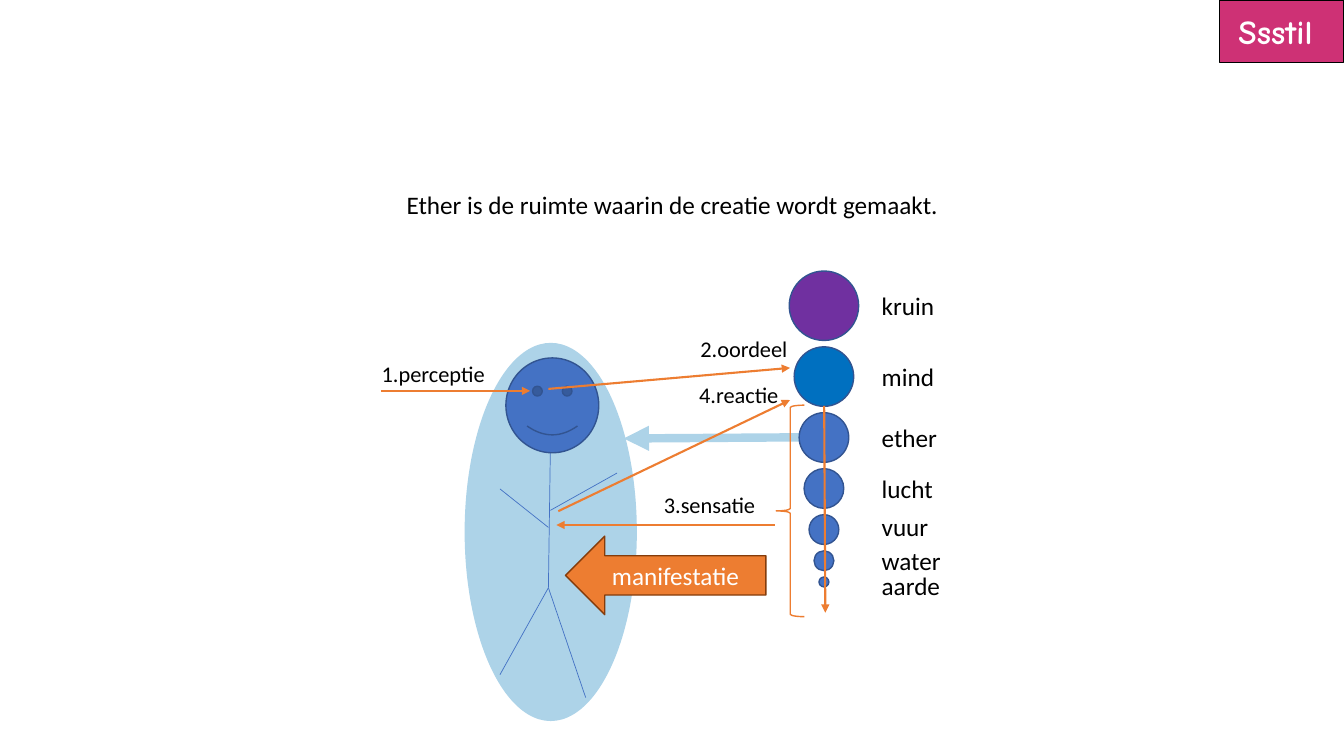
from collections import namedtuple
from dataclasses import dataclass

from lxml import etree
from pptx import Presentation
from pptx.dml.color import RGBColor
from pptx.enum.shapes import MSO_CONNECTOR, MSO_SHAPE
from pptx.enum.text import MSO_ANCHOR, MSO_AUTO_SIZE, PP_ALIGN
from pptx.oxml.ns import qn
from pptx.util import Cm, Pt

STRAIGHT = MSO_CONNECTOR.STRAIGHT
OVAL, RECTANGLE = MSO_SHAPE.OVAL, MSO_SHAPE.RECTANGLE
SMILEY, BRACE = MSO_SHAPE.SMILEY_FACE, MSO_SHAPE.LEFT_BRACE
LEFT_ARROW = MSO_SHAPE.LEFT_ARROW
LEFT, CENTER = PP_ALIGN.LEFT, PP_ALIGN.CENTER
MIDDLE = MSO_ANCHOR.MIDDLE
FIT_SHAPE = MSO_AUTO_SIZE.SHAPE_TO_FIT_TEXT

Box = namedtuple("Box", "left top width height")


@dataclass(frozen=True)
class Theme:
    font: str = "Calibri"
    badge_font: str = "Comic Neue"
    ink: str = "000000"
    paper: str = "FFFFFF"
    badge: str = "CE3175"
    aura: str = "ADD3E8"
    blue: str = "4472C4"
    blue_edge: str = "325491"
    crown: str = "7030A0"
    mind: str = "0070C0"
    orange: str = "ED7D31"
    orange_edge: str = "843C0B"
    badge_size: int = 24
    body_size: int = 18
    step_size: int = 16


THEME = Theme()


def within(box, left, top, width, height):
    return Box(box.left + left, box.top + top, width, height)


def set_font(paragraph, size, color, font=THEME.font, bold=False):
    paragraph.font.name = font
    paragraph.font.size = Pt(size)
    paragraph.font.bold = bold
    paragraph.font.color.rgb = RGBColor.from_string(color)


def add_figure(slide, kind, box, fill=None, edge=None):
    figure = slide.shapes.add_shape(kind, *map(Cm, box))
    figure.shadow.inherit = False
    if fill:
        figure.fill.solid()
        figure.fill.fore_color.rgb = RGBColor.from_string(fill)
    else:
        figure.fill.background()
    if edge:
        figure.line.color.rgb = RGBColor.from_string(edge)
        figure.line.width = Pt(1)
    else:
        figure.line.fill.background()
    return figure


def add_caption(figure, text, size, font=THEME.font, bold=False):
    figure.text_frame.vertical_anchor = MIDDLE
    caption = figure.text_frame.paragraphs[0]
    caption.text = text
    caption.alignment = CENTER
    set_font(caption, size, THEME.paper, font, bold)


def add_label(slide, box, text, size, align=LEFT):
    frame = slide.shapes.add_textbox(*map(Cm, box)).text_frame
    frame.word_wrap = False
    frame.auto_size = FIT_SHAPE
    label = frame.paragraphs[0]
    label.text = text
    label.alignment = align
    set_font(label, size, THEME.ink)


def add_line(slide, box, start, end, color, width, arrow=False):
    x1, y1 = box.left + start[0], box.top + start[1]
    x2, y2 = box.left + end[0], box.top + end[1]
    line = slide.shapes.add_connector(STRAIGHT, Cm(x1), Cm(y1), Cm(x2), Cm(y2))
    line.line.color.rgb = RGBColor.from_string(color)
    line.line.width = Pt(width)
    if arrow:
        outline = line.line._get_or_add_ln()
        etree.SubElement(outline, qn("a:tailEnd"), type="triangle")
    etree.SubElement(line._element.spPr, qn("a:effectLst"))


def draw_beam(slide, box):
    add_line(slide, box, (box.width, 0), (0, box.height), THEME.aura, 6, arrow=True)


def draw_badge(slide, box):
    badge = add_figure(slide, RECTANGLE, box, THEME.badge, THEME.ink)
    add_caption(badge, "Ssstil ", THEME.badge_size, THEME.badge_font, bold=True)


def draw_person(slide, box):
    add_figure(slide, OVAL, box, THEME.aura)
    neck, hip = (2.16, 2.67), (2.11, 6.17)
    limbs = [
        (neck, hip),
        ((2.11, 4.65), (0.89, 3.68)),
        ((2.16, 4.22), (3.84, 3.28)),
        (hip, (0.89, 8.36)),
        (hip, (3.05, 8.94)),
    ]
    for start, end in limbs:
        add_line(slide, box, start, end, THEME.blue, 0.5)
    head = within(box, 1.04, 0.38, 2.34, 2.39)
    add_figure(slide, SMILEY, head, THEME.blue, THEME.blue_edge)


def draw_elements(slide, box):
    gap, shrink, label_left, label_height = 0.16, 0.25, 2.08, 1.02
    elements = [
        ("kruin", THEME.crown, 1.85, 0),
        ("mind", THEME.mind, 1.85, 0),
        ("ether", THEME.blue, 1.93, 0),
        ("lucht", THEME.blue, 1.83, 0),
        ("vuur", THEME.blue, 1.7, -0.08),
        ("water", THEME.blue, 2.01, 0),
        ("aarde", THEME.blue, 2.01, 0.1),
    ]
    top, diameter = 0, box.width
    for name, color, label_width, shift in elements:
        circle = within(box, (box.width - diameter) / 2, top, diameter, diameter)
        add_figure(slide, OVAL, circle, color, THEME.blue_edge)
        label_top = top + (diameter - label_height) / 2 + shift
        label = within(box, label_left, label_top, label_width, label_height)
        add_label(slide, label, name, THEME.body_size)
        top += diameter + gap
        diameter -= shrink


def draw_process(slide, box):
    steps = [
        ("1.perceptie", (0, 0.61), 3.15, (0.23, 1.52), (3.99, 1.52)),
        ("2.oordeel", (8.03, 0), 2.74, (4.45, 1.47), (10.54, 0.94)),
        ("3.sensatie", (7.11, 3.91), 2.84, (10.16, 4.9), (4.65, 4.9)),
        ("4.reactie", (8, 1.14), 2.54, (4.7, 4.55), (10.54, 1.75)),
    ]
    for name, corner, width, start, end in steps:
        add_line(slide, box, start, end, THEME.orange, 1.5, arrow=True)
        add_label(slide, within(box, *corner, width, 0.94), name, THEME.step_size)
    add_line(slide, box, (11.4, 1.9), (11.43, 7.11), THEME.orange, 1.5, arrow=True)
    add_figure(slide, BRACE, within(box, 10.19, 1.88, 0.71, 5.33), edge=THEME.orange)
    manifestation = add_figure(slide, LEFT_ARROW, within(box, 4.88, 5.18, 5.05, 1.98),
                               THEME.orange, THEME.orange_edge)
    add_caption(manifestation, "manifestatie", THEME.body_size)


def main():
    deck = Presentation()
    deck.slide_width, deck.slide_height = Cm(33.87), Cm(19.05)
    slide = deck.slides.add_slide(deck.slide_layouts[6])
    draw_beam(slide, Box(15.72, 11.02, 4.42, 0.03))
    add_label(slide, Box(9.91, 4.65, 14.07, 1.8),
              "Ether is de ruimte waarin de creatie wordt gemaakt.",
              THEME.body_size, CENTER)
    draw_badge(slide, Box(30.73, 0, 3.13, 1.57))
    draw_person(slide, Box(11.71, 8.64, 4.34, 9.53))
    draw_elements(slide, Box(19.89, 6.83, 1.75, 7.92))
    draw_process(slide, Box(9.37, 8.33, 11.43, 7.21))
    deck.save("out.pptx")


if __name__ == "__main__":
    main()
